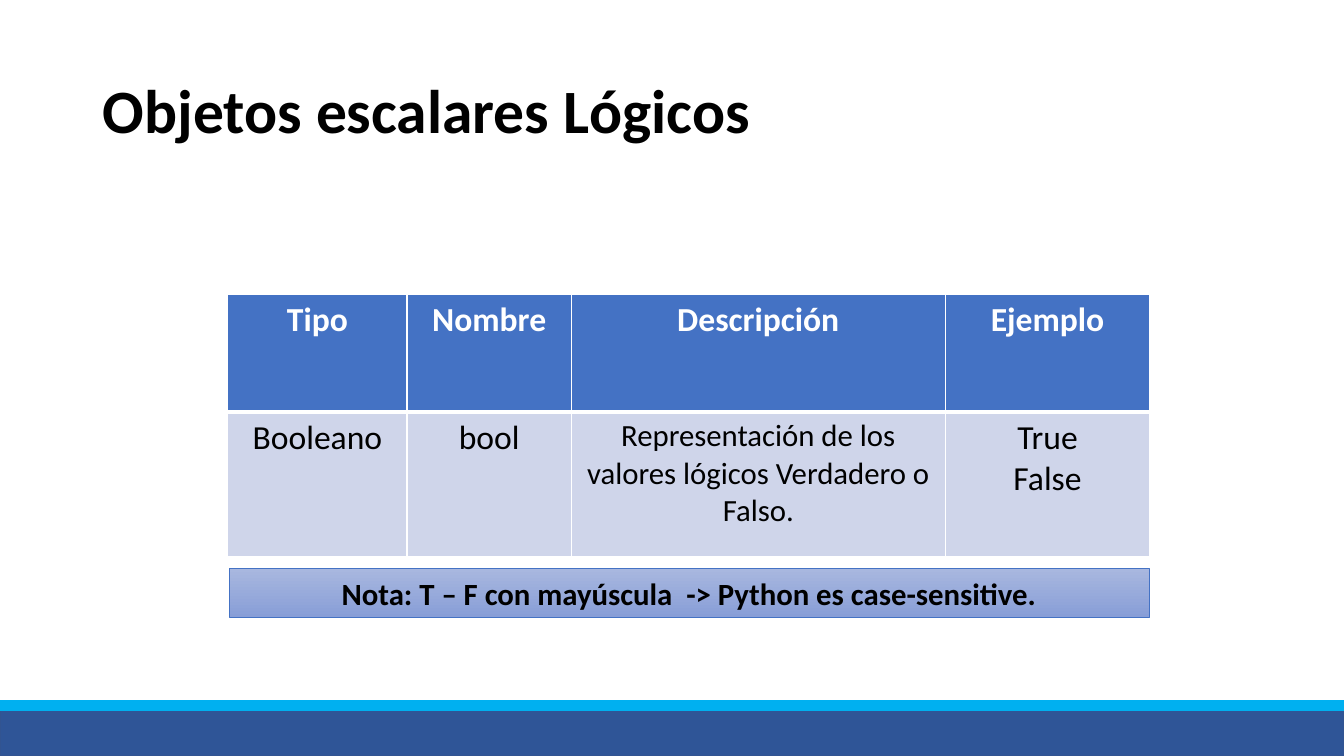
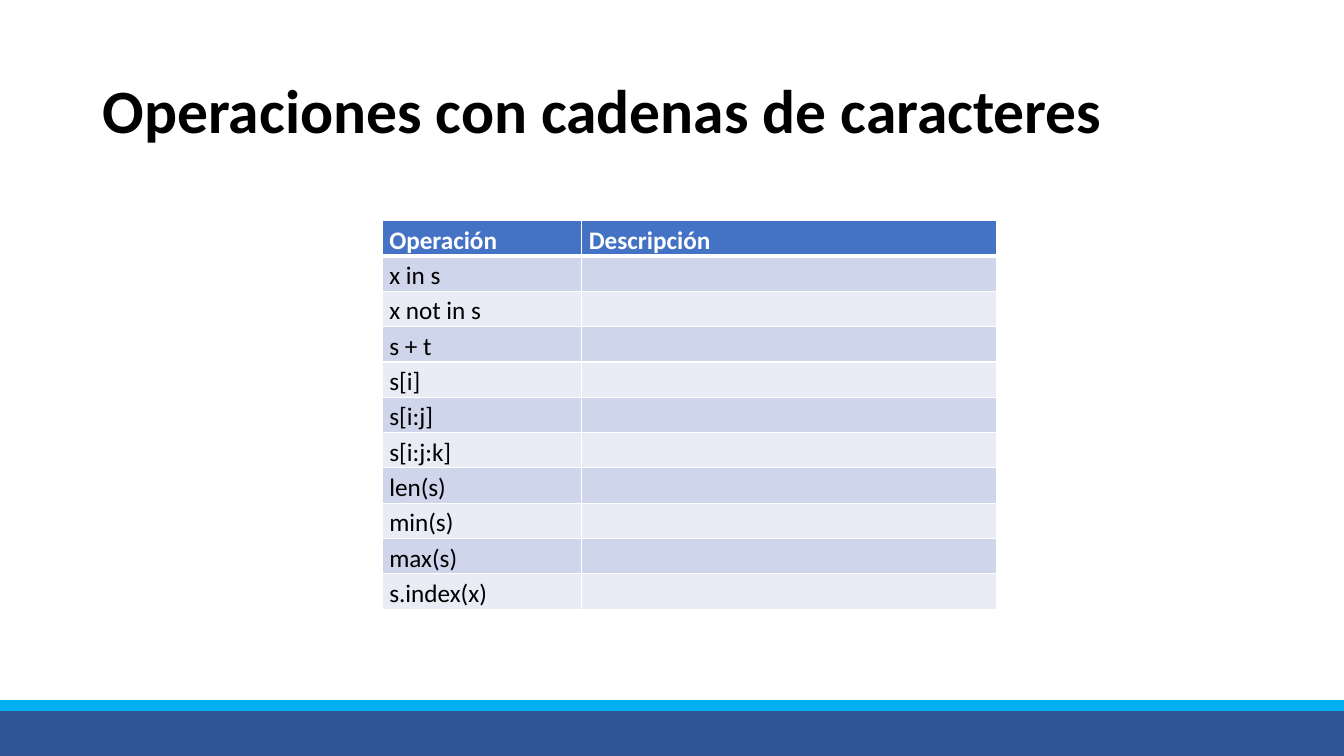
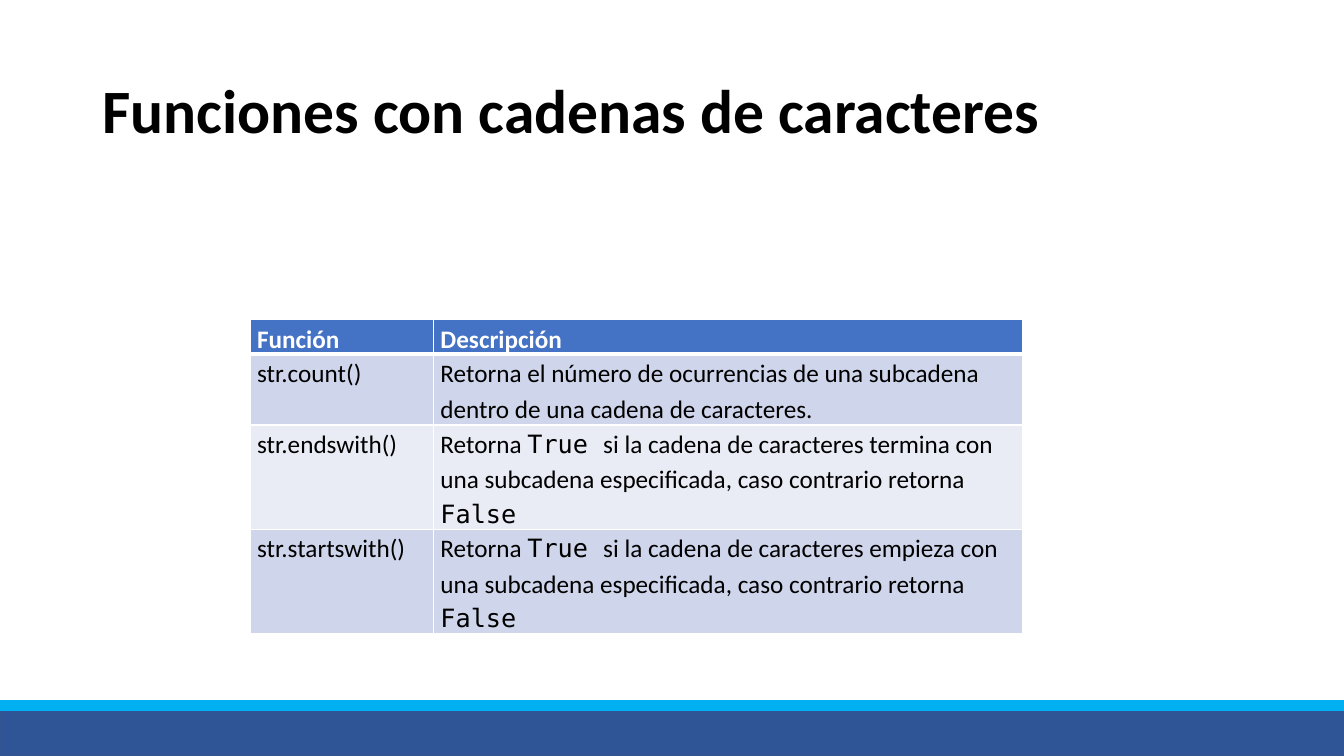
from lxml.etree import SubElement
from pptx import Presentation
from pptx.dml.color import RGBColor
from pptx.enum.shapes import MSO_SHAPE
from pptx.enum.text import MSO_ANCHOR, PP_ALIGN
from pptx.oxml.ns import qn
from pptx.util import Cm, Pt

# Shared look
BLACK, WHITE = "000000", "FFFFFF"
HEADER_FILL = "4472C4"
ROW_FILLS = ["CFD5EA", "E9EBF5"]
BODY_FONT, CODE_FONT = "Calibri", "DejaVu Sans Mono"
SLIDE_WIDTH, SLIDE_HEIGHT = 33.87, 19.05
# top, height, fill, line
BANDS = [(17.86, 1.19, "2F5597", "325491"), (17.65, 0.25, "00B0F0", "00B0F0")]


def paint(fill, color):
    fill.solid()
    fill.fore_color.rgb = RGBColor.from_string(color)


def write(frame, text, size=18, color=BLACK, bold=False,
          align=PP_ALIGN.LEFT, spacing=1.0):
    """Fill a text frame; parts between backticks are set in the code font."""
    frame.word_wrap = True
    for number, line in enumerate(text.split("\n")):
        para = frame.add_paragraph() if number else frame.paragraphs[0]
        para.alignment = align
        para.line_spacing = spacing
        for position, part in enumerate(line.split("`")):
            if part:
                span = para.add_run()
                span.text = part
                span.font.name = CODE_FONT if position % 2 else BODY_FONT
                span.font.size = Pt(size)
                span.font.bold = bold
                paint(span.font.fill, color)


# Content of each slide
large = {"size": 24, "align": PP_ALIGN.CENTER}
compact = {"size": 18, "spacing": 1.15}
operations = ["x in s", "x not in s", "s + t", "s[i]", "s[i:j]", "s[i:j:k]",
              "len(s)", "min(s)", "max(s)", "s.index(x)"]
ending = ("Retorna `True `si la cadena de caracteres {} con una subcadena "
          "especificada, caso contrario retorna `False`")

topics = [
    {
        "title": "Objetos escalares Lógicos",
        "corner": (5.74, 7.42),
        "widths": [4.52, 4.14, 9.42, 5.16],
        "heights": [2.97, 3.63],
        "margins": (0.25, 0.13),
        "style": large,
        "sizes": {(1, 2): 22},
        "rows": [
            ["Tipo", "Nombre", "Descripción", "Ejemplo"],
            ["Booleano", "bool",
             "Representación de los valores lógicos Verdadero o Falso.",
             "True\nFalse"],
        ],
        "note": "Nota: T – F con mayúscula  -> Python es case-sensitive.",
    },
    {
        "title": "Operaciones con cadenas de caracteres",
        "corner": (9.63, 5.56),
        "widths": [5.03, 10.46],
        "heights": [0.89] * (len(operations) + 1),
        "margins": (0.18, 0),
        "style": compact,
        "rows": [["Operación", "Descripción"]] + [[name, ""] for name in operations],
    },
    {
        "title": "Funciones con cadenas de caracteres",
        "corner": (6.3, 8.05),
        "widths": [4.62, 14.86],
        "heights": [0.87, 1.78, 2.62, 2.62],
        "margins": (0.18, 0),
        "style": compact,
        "rows": [
            ["Función", "Descripción"],
            ["str.count()", "Retorna el número de ocurrencias de una subcadena "
                            "dentro de una cadena de caracteres."],
            ["str.endswith()", ending.format("termina")],
            ["str.startswith()", ending.format("empieza")],
        ],
    },
]

deck = Presentation()
deck.slide_width, deck.slide_height = Cm(SLIDE_WIDTH), Cm(SLIDE_HEIGHT)

for topic in topics:
    page = deck.slides.add_slide(deck.slide_layouts[6])

    # Bottom bands
    for top, height, fill, line in BANDS:
        band = page.shapes.add_shape(MSO_SHAPE.RECTANGLE, 0, Cm(top),
                                     Cm(SLIDE_WIDTH), Cm(height))
        band.shadow.inherit = False
        paint(band.fill, fill)
        paint(band.line.fill, line)
        band.line.width = Pt(1)

    # Title
    title = page.shapes.add_textbox(Cm(2.34), Cm(1.02), Cm(29.21), Cm(3.68))
    title.text_frame.vertical_anchor = MSO_ANCHOR.MIDDLE
    write(title.text_frame, topic["title"], size=44, bold=True, spacing=0.9)

    # Table
    left, top = topic["corner"]
    widths, heights, rows = topic["widths"], topic["heights"], topic["rows"]
    table = page.shapes.add_table(len(rows), len(widths), Cm(left), Cm(top),
                                  Cm(sum(widths)), Cm(sum(heights))).table
    table.horz_banding = False
    for column, width in zip(table.columns, widths):
        column.width = Cm(width)
    for row, height in zip(table.rows, heights):
        row.height = Cm(height)

    side, edge = topic["margins"]
    for row_number, texts in enumerate(rows):
        header = row_number == 0
        for column_number, text in enumerate(texts):
            cell = table.cell(row_number, column_number)
            cell.margin_left = cell.margin_right = Cm(side)
            cell.margin_top = cell.margin_bottom = Cm(edge)

            # White borders, thick under the header
            properties = cell._tc.get_or_add_tcPr()
            thick = {0: "a:lnB", 1: "a:lnT"}.get(row_number)
            for name in ("a:lnL", "a:lnR", "a:lnT", "a:lnB"):
                border = SubElement(properties, qn(name),
                                    w=str(Pt(3 if name == thick else 1)))
                solid = SubElement(border, qn("a:solidFill"))
                SubElement(solid, qn("a:srgbClr"), val=WHITE)

            paint(cell.fill, HEADER_FILL if header else ROW_FILLS[(row_number - 1) % 2])
            style = dict(topic["style"], bold=header, color=WHITE if header else BLACK)
            style["size"] = topic.get("sizes", {}).get((row_number, column_number),
                                                       style["size"])
            write(cell.text_frame, text, **style)

    # Note under the table
    if "note" in topic:
        note = page.shapes.add_shape(MSO_SHAPE.RECTANGLE, Cm(5.77), Cm(14.33),
                                     Cm(23.19), Cm(1.22))
        note.shadow.inherit = False
        note.fill.gradient()
        note.fill.gradient_angle = 270
        for stop, color in zip(note.fill.gradient_stops, ["A8B7DF", "889ED7"]):
            stop.color.rgb = RGBColor.from_string(color)
        paint(note.line.fill, HEADER_FILL)
        note.line.width = Pt(0.5)
        note.text_frame.vertical_anchor = MSO_ANCHOR.MIDDLE
        write(note.text_frame, topic["note"], size=22, bold=True,
              align=PP_ALIGN.CENTER)

deck.save("out.pptx")
